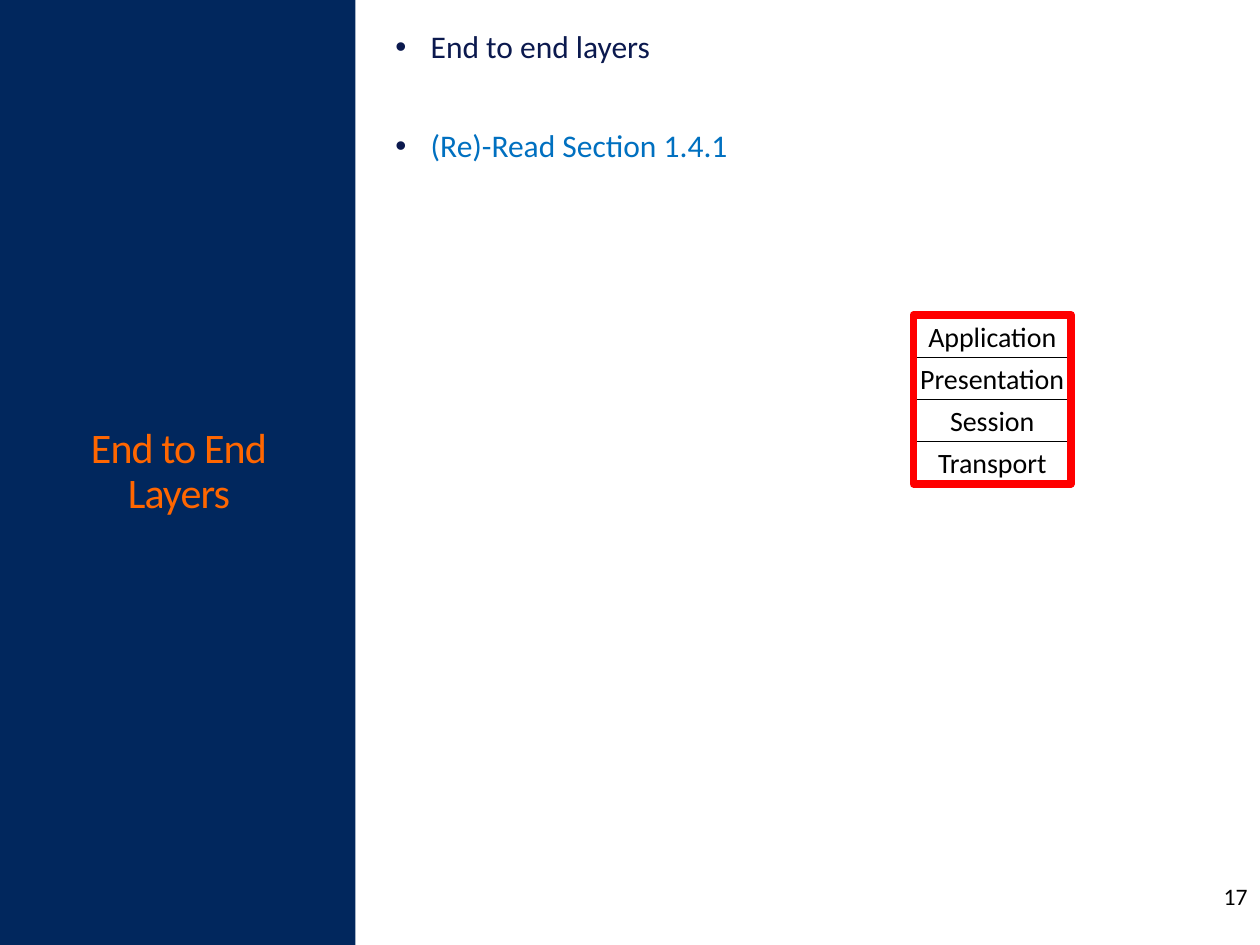
from lxml.etree import SubElement
from pptx import Presentation
from pptx.dml.color import RGBColor
from pptx.enum.shapes import MSO_SHAPE
from pptx.enum.text import MSO_ANCHOR, PP_ALIGN
from pptx.oxml.ns import qn
from pptx.util import Inches, Pt

deck = Presentation()
deck.slide_width, deck.slide_height = Inches(10), Inches(7.5)
slide = deck.slides.add_slide(deck.slide_layouts[6])


def box(left, top, width, height, fill=None, line=None, weight=0.75):
    shape = slide.shapes.add_shape(
        MSO_SHAPE.RECTANGLE, Inches(left), Inches(top), Inches(width), Inches(height)
    )
    shape.shadow.inherit = False
    for part, color in ((shape.fill, fill), (shape.line.fill, line)):
        if color:
            part.solid()
            part.fore_color.rgb = RGBColor.from_string(color)
        else:
            part.background()
    if line:
        shape.line.width = Pt(weight)
    return shape


def style(paragraph, size, color, align=PP_ALIGN.LEFT):
    paragraph.alignment = align
    for run in paragraph.runs:
        run.font.name = "Calibri"
        run.font.size = Pt(size)
        run.font.color.rgb = RGBColor.from_string(color)


box(0, 0, 2.82, 7.5, fill="01275D")

title = slide.shapes.add_textbox(Inches(0.21), 0, Inches(2.42), Inches(7.5)).text_frame
title.word_wrap = True
title.vertical_anchor = MSO_ANCHOR.MIDDLE
title.text = "End to End\vLayers"
heading = title.paragraphs[0]
heading.line_spacing = 0.9
style(heading, 24, "FF6600", PP_ALIGN.CENTER)
for run in heading.runs:
    run.font._element.set("spc", "-50")

page = slide.shapes.add_textbox(Inches(7.67), Inches(6.95), Inches(2.33), Inches(0.4)).text_frame
page.word_wrap = True
page.text = "17"
style(page.paragraphs[0], 13.5, "000000", PP_ALIGN.RIGHT)

stack_left, stack_top, stack_width, stack_height = 7.25, 2.5, 1.25, 1.34
layers = ["Application", "Presentation", "Session", "Transport"]
row = stack_height / len(layers)
for index, name in enumerate(layers):
    layer = box(stack_left, stack_top + index * row, stack_width, row, line="000000").text_frame
    layer.word_wrap = False
    layer.vertical_anchor = MSO_ANCHOR.MIDDLE
    layer.text = name
    style(layer.paragraphs[0], 16, "000000", PP_ALIGN.CENTER)

highlight = box(stack_left, stack_top, stack_width, stack_height, line="FF0000", weight=4.5)
SubElement(highlight.line._get_or_add_ln(), qn("a:round"))

body = slide.shapes.add_textbox(Inches(3.04), Inches(0.2), Inches(6.8), Inches(2.04)).text_frame
body.word_wrap = True
points = [("End to end layers", "0B194E", 0), ("(Re)-Read Section 1.4.1", "0070C0", 37)]
body.text = "\n".join(text for text, _, _ in points)
for point, (_, color, gap) in zip(body.paragraphs, points):
    point.line_spacing = 0.9
    point.space_before = Pt(gap)
    props = point._p.get_or_add_pPr()
    props.set("marL", str(Inches(0.28)))
    props.set("indent", str(-Inches(0.28)))
    bullet_color = SubElement(props, qn("a:buClr"))
    SubElement(bullet_color, qn("a:srgbClr"), val="0B194E")
    SubElement(props, qn("a:buFont"), typeface="Arial")
    SubElement(props, qn("a:buChar"), char="•")
    style(point, 18, color)

deck.save("out.pptx")
